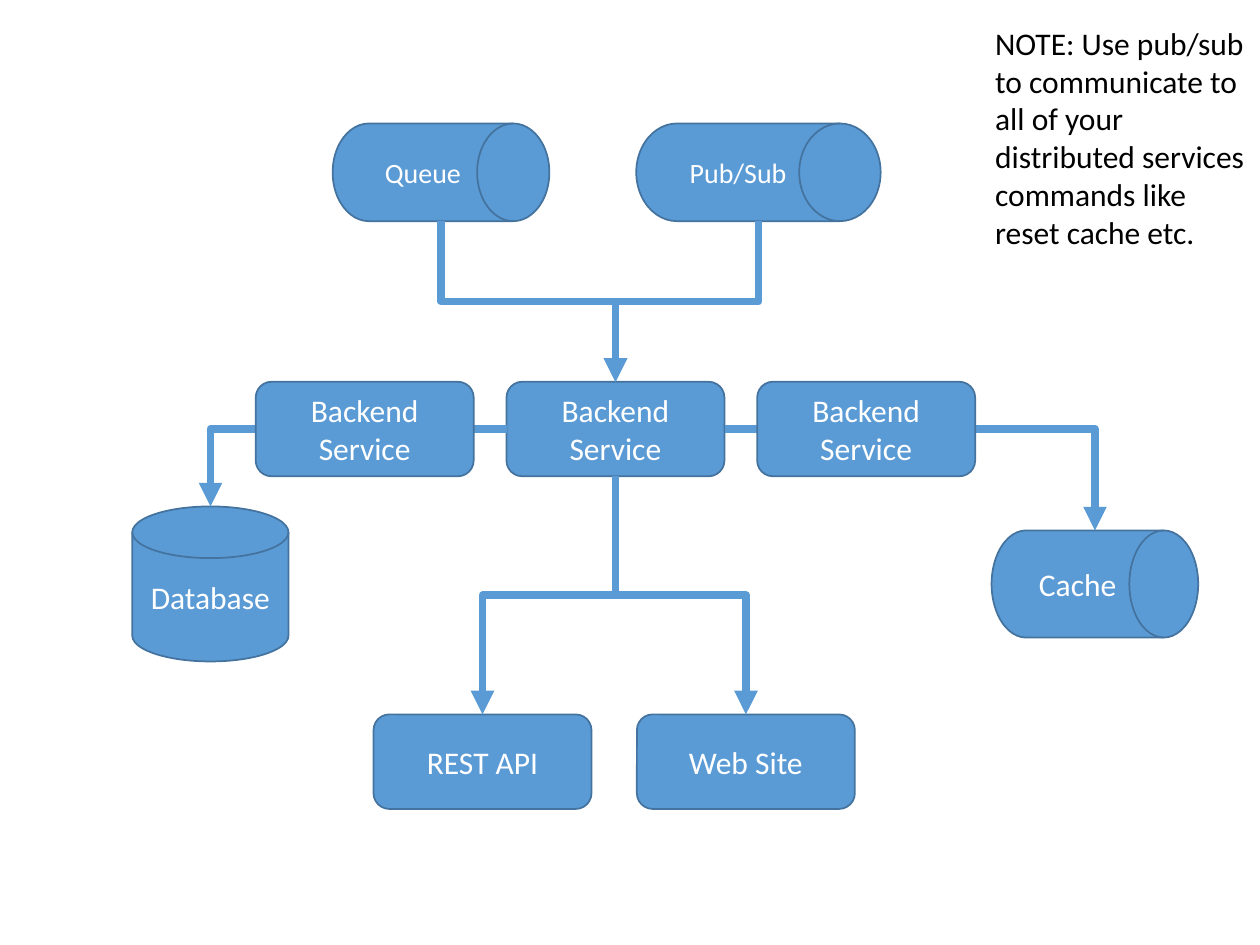
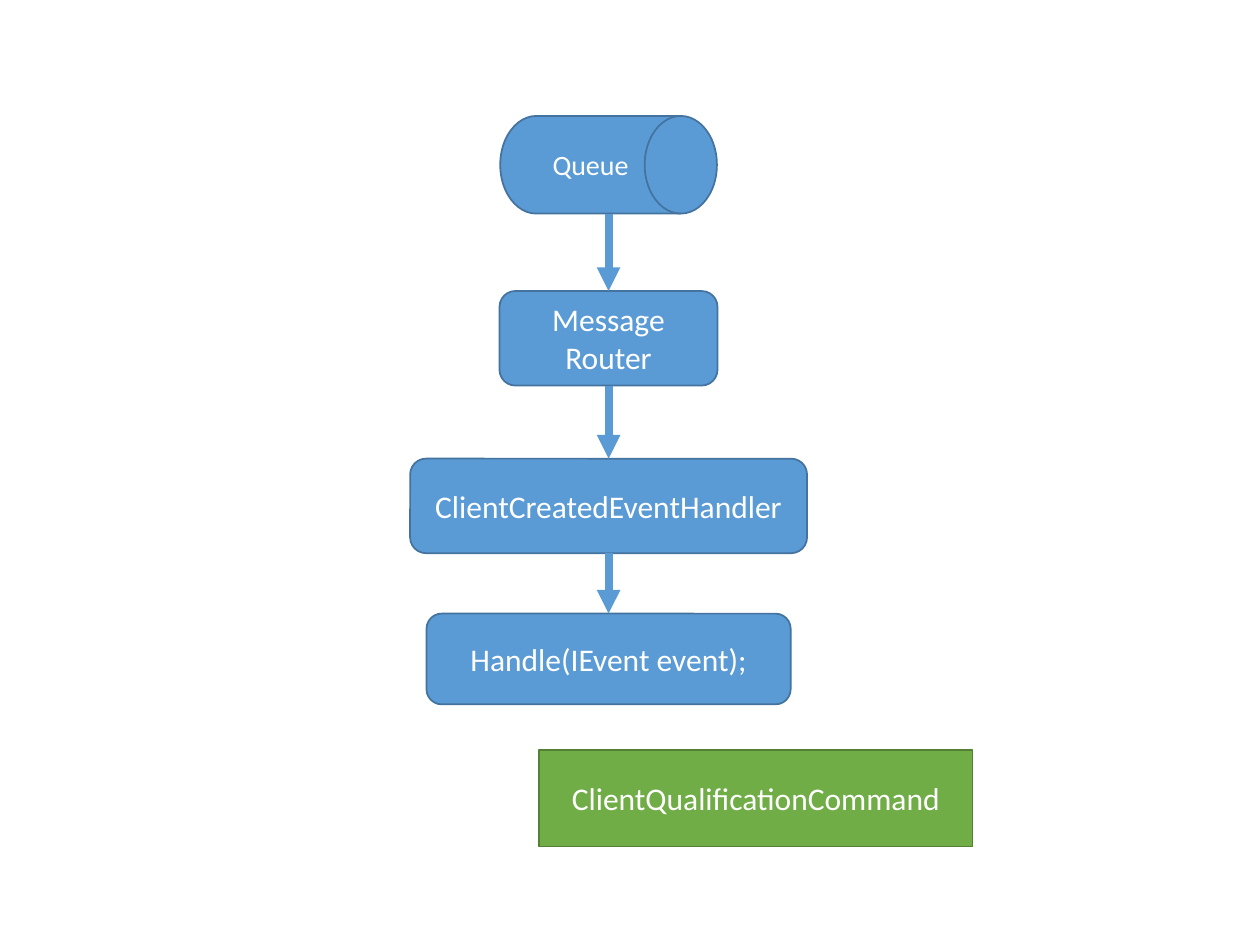
from dataclasses import dataclass

from pptx import Presentation
from pptx import util as u
from pptx.dml import color
from pptx.enum import shapes, text
from pptx.oxml import ns
from lxml import etree

COLUMNS, ROWS = 100, 75
FONT = "Calibri"
BLUE, BLUE_EDGE = "5B9BD5", "43739E"
GREEN, GREEN_EDGE = "70AD47", "538035"
WHITE, BLACK = "FFFFFF", "000000"
TOP, LEFT, BOTTOM, RIGHT = range(4)

KIND = shapes.MSO_SHAPE
BOX = KIND.ROUNDED_RECTANGLE
DRUM = KIND.FLOWCHART_DIRECT_ACCESS_STORAGE
DISK = KIND.FLOWCHART_MAGNETIC_DISK
LINK = shapes.MSO_CONNECTOR


@dataclass
class Grid:
    left: int
    top: int
    width: int
    height: int

    def place(self, column, row, columns, rows):
        across, down = self.width / COLUMNS, self.height / ROWS
        return (round(self.left + column * across), round(self.top + row * down),
                round(columns * across), round(rows * down))


def rgb(value):
    return color.RGBColor.from_string(value)


def write(shape, words, size=18, ink=WHITE, align=text.PP_ALIGN.CENTER,
          anchor=text.MSO_ANCHOR.MIDDLE):
    frame = shape.text_frame
    frame.word_wrap = True
    frame.vertical_anchor = anchor
    paragraph = frame.paragraphs[0]
    paragraph.text = words
    paragraph.alignment = align
    for run in paragraph.runs:
        run.font.name = FONT
        run.font.size = u.Pt(size)
        run.font.color.rgb = rgb(ink)


def node(slide, grid, words, center, row, columns=17.3, rows=7.5, kind=BOX,
         size=18, fill=BLUE, edge=BLUE_EDGE):
    area = grid.place(center - columns / 2, row, columns, rows)
    shape = slide.shapes.add_shape(kind, *area)
    shape.shadow.inherit = False
    shape.fill.solid()
    shape.fill.fore_color.rgb = rgb(fill)
    shape.line.color.rgb = rgb(edge)
    shape.line.width = u.Pt(1)
    write(shape, words, size=size)
    return shape


def side_point(shape, side):
    x = {LEFT: 0, RIGHT: shape.width}.get(side, shape.width // 2)
    y = {TOP: 0, BOTTOM: shape.height}.get(side, shape.height // 2)
    return shape.left + x, shape.top + y


def site(shape, side):
    return 1 if shape.auto_shape_type == DISK and side == TOP else side


def join(slide, start, start_side, end, end_side, kind, arrow):
    first, last = side_point(start, start_side), side_point(end, end_side)
    link = slide.shapes.add_connector(kind, *first, *last)
    link.begin_connect(start, site(start, start_side))
    link.end_connect(end, site(end, end_side))
    link.line.color.rgb = rgb(BLUE)
    link.line.width = u.Pt(4.5)
    etree.SubElement(link.line._get_or_add_ln(), ns.qn(f"a:{arrow}End"), type="triangle")
    etree.SubElement(link._element.spPr, ns.qn("a:effectLst"))
    return link, first, last


def elbow(slide, start, start_side, end, end_side, arrow="tail"):
    link, (x1, y1), (x2, y2) = join(slide, start, start_side, end, end_side,
                                    LINK.ELBOW, arrow)
    run, rise = abs(x2 - x1), abs(y2 - y1)
    link.left = (x1 + x2 - rise) // 2
    link.top = (y1 + y2 - run) // 2
    link.width, link.height = rise, run
    properties = link._element.spPr
    turn = properties.find(ns.qn("a:xfrm"))
    turn.set("rot", str((90 if (y2 > y1) == (x2 < x1) else 270) * 60000))
    turn.set("flipH", str(int(x2 > x1)))
    turn.set("flipV", str(int(y2 < y1)))
    if end_side in (LEFT, RIGHT):
        properties.find(ns.qn("a:prstGeom")).set("prst", "bentConnector2")


def note(slide, grid):
    remark = slide.shapes.add_textbox(*grid.place(78, 1.4, 22, 19.2))
    write(remark, "NOTE: Use pub/sub to communicate to all of your distributed "
          "services commands like reset cache etc.", ink=BLACK,
          align=text.PP_ALIGN.LEFT, anchor=text.MSO_ANCHOR.TOP)
    remark.text_frame.auto_size = text.MSO_AUTO_SIZE.SHAPE_TO_FIT_TEXT


def service_map(slide, grid):
    middle, step, service_row = 48.85, 19.9, 30.3
    service_name = "Backend\nService"

    database = node(slide, grid, "Database", 16.7, 40.2, 12.4, 12.3, DISK)
    cache = node(slide, grid, "Cache", 86.9, 42.1, 16.4, 8.5, DRUM)
    service = node(slide, grid, service_name, middle, service_row)
    sources = [node(slide, grid, name, center, 9.8, columns, 7.75, DRUM, size=16)
               for name, center, columns in (("Queue", 35, 17.2), ("Pub/Sub", 60.2, 19.4))]
    clients = [node(slide, grid, name, center, 56.7)
               for name, center in (("REST API", 38.3), ("Web Site", 59.2))]

    for source in sources:
        elbow(slide, source, BOTTOM, service, TOP)
    for store, side in ((cache, RIGHT), (database, LEFT)):
        elbow(slide, store, TOP, service, side, arrow="head")
    for client in clients:
        elbow(slide, client, TOP, service, BOTTOM, arrow="head")
    for center in (middle - step, middle + step):
        node(slide, grid, service_name, center, service_row)


def event_flow(slide, grid):
    center = 48.3
    steps = [
        node(slide, grid, "Queue", center, 9.2, 17.2, 7.75, DRUM, size=16),
        node(slide, grid, "Message\nRouter", center, 23.1),
        node(slide, grid, "ClientCreatedEventHandler", center, 36.4, 31.5),
        node(slide, grid, "Handle(IEvent event);", center, 48.7, 28.9, 7.2),
    ]
    for before, after in zip(steps, steps[1:]):
        join(slide, before, BOTTOM, after, TOP, LINK.STRAIGHT, "tail")
    node(slide, grid, "ClientQualificationCommand", 60, 59.5, 34.4, 7.7,
         KIND.RECTANGLE, fill=GREEN, edge=GREEN_EDGE)


def main():
    deck = Presentation()
    deck.slide_width, deck.slide_height = u.Inches(10), u.Inches(7.5)
    page = Grid(0, 0, deck.slide_width, deck.slide_height)
    blank = deck.slide_layouts[6]
    for regions in ((service_map, note), (event_flow,)):
        slide = deck.slides.add_slide(blank)
        for region in regions:
            region(slide, page)
    deck.save("out.pptx")


if __name__ == "__main__":
    main()
